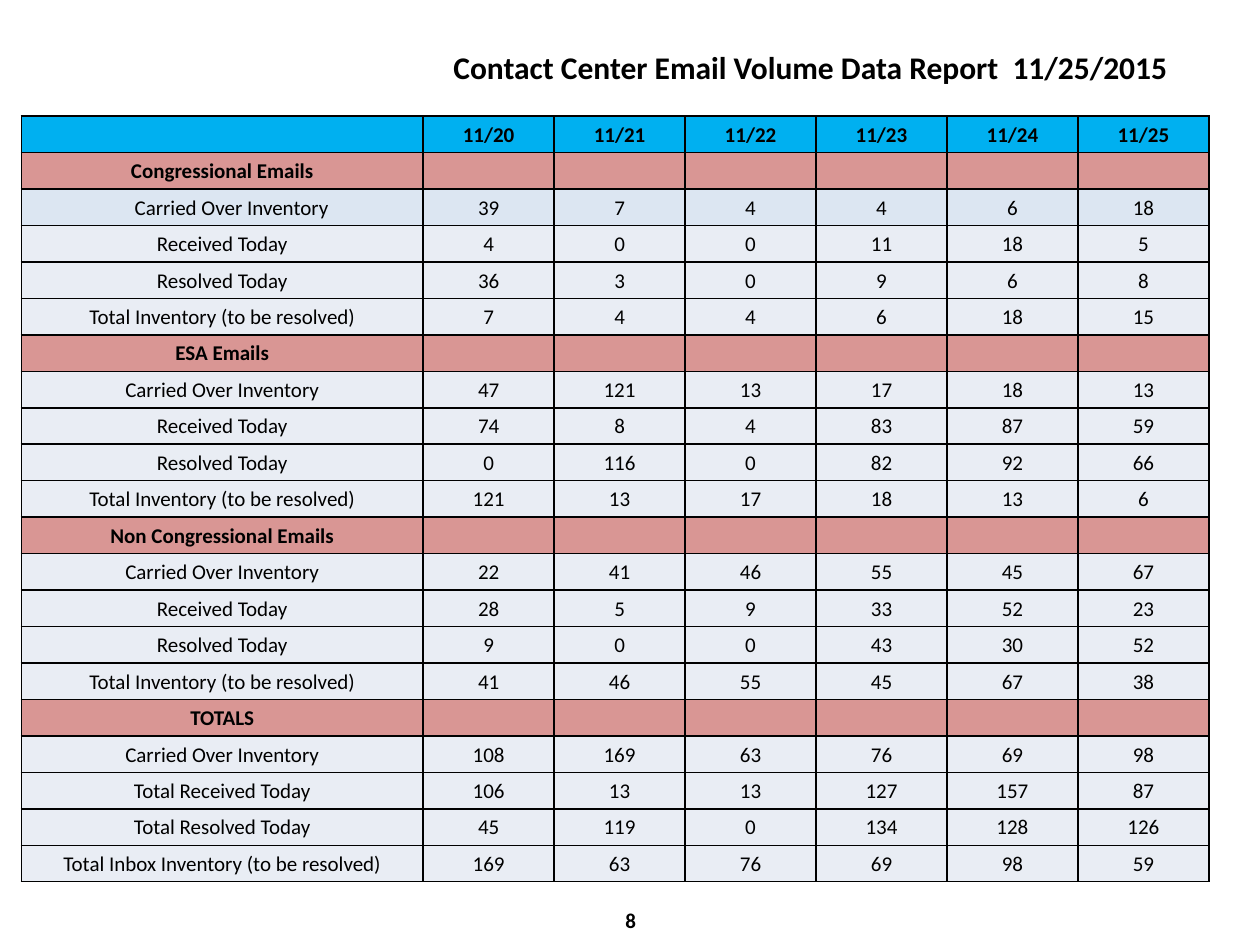
import pptx
import pptx.util
import pptx.dml.color
import pptx.enum.text
import lxml.etree
import pptx.oxml.ns

Cm, Pt = pptx.util.Cm, pptx.util.Pt
ALIGN = pptx.enum.text.PP_ALIGN
MIDDLE = pptx.enum.text.MSO_ANCHOR.MIDDLE

# Content
TITLE = "Contact Center Email Volume Data Report  11/25/2015"
PAGE_NUMBER = "8"
DATES = ["11/20", "11/21", "11/22", "11/23", "11/24", "11/25"]
LABELS = ["Carried Over Inventory", "Received Today", "Resolved Today",
          "Total Inventory (to be resolved)"]
TOTAL_LABELS = ["Carried Over Inventory", "Total Received Today", "Total Resolved Today",
                "Total Inbox Inventory (to be resolved)"]
SECTIONS = [
    ("Congressional Emails", LABELS, [
        (39, 7, 4, 4, 6, 18),
        (4, 0, 0, 11, 18, 5),
        (36, 3, 0, 9, 6, 8),
        (7, 4, 4, 6, 18, 15)]),
    ("ESA Emails", LABELS, [
        (47, 121, 13, 17, 18, 13),
        (74, 8, 4, 83, 87, 59),
        (0, 116, 0, 82, 92, 66),
        (121, 13, 17, 18, 13, 6)]),
    ("Non Congressional Emails", LABELS, [
        (22, 41, 46, 55, 45, 67),
        (28, 5, 9, 33, 52, 23),
        (9, 0, 0, 43, 30, 52),
        (41, 46, 55, 45, 67, 38)]),
    ("TOTALS", TOTAL_LABELS, [
        (108, 169, 63, 76, 69, 98),
        (106, 13, 13, 127, 157, 87),
        (45, 119, 0, 134, 128, 126),
        (169, 63, 76, 69, 98, 59)]),
]
COLORS = {"text": "000000", "border": "000000", "header": "00B0F0",
          "section": "D99694", "first": "DCE6F2", "body": "E9EDF4"}
FONT = "Calibri"


def rgb(name):
    return pptx.dml.color.RGBColor.from_string(COLORS[name])


def write(p, text, size, bold, align):
    p.alignment = align
    p.font.name, p.font.size, p.font.bold = FONT, Pt(size), bold
    p.font.color.rgb = rgb("text")
    if text:
        p.add_run().text = text
    else:  # keeps the height of an empty line
        end = lxml.etree.SubElement(p._p, pptx.oxml.ns.qn("a:endParaRPr"))
        end.set("sz", str(size * 100))


def add_text(slide, box, text, size, align):
    tf = slide.shapes.add_textbox(*map(Cm, box)).text_frame
    tf.word_wrap = True
    write(tf.paragraphs[0], text, size, True, align)
    return tf


def add_borders(cell):
    tcPr = cell._tc.get_or_add_tcPr()
    for i, side in enumerate(("lnL", "lnR", "lnT", "lnB")):
        ln = lxml.etree.Element(pptx.oxml.ns.qn("a:" + side), w=str(Pt(1)))
        fill = lxml.etree.SubElement(ln, pptx.oxml.ns.qn("a:solidFill"))
        lxml.etree.SubElement(fill, pptx.oxml.ns.qn("a:srgbClr"), val=COLORS["border"])
        tcPr.insert(i, ln)


prs = pptx.Presentation()
prs.slide_width, prs.slide_height = Cm(25.4), Cm(19.05)
slide = prs.slides.add_slide(prs.slide_layouts[6])

# Page number and title
tf = add_text(slide, (8.69, 18.03, 8.05, 1.02), PAGE_NUMBER, 12, ALIGN.CENTER)
tf.vertical_anchor = MIDDLE
add_text(slide, (8.89, 0.84, 16.31, 1.02), TITLE, 18, ALIGN.LEFT)

# Table rows: fill, bold, texts
rows = [("header", True, [""] + DATES)]
for name, labels, values in SECTIONS:
    rows.append(("section", True, [name] + [""] * len(DATES)))
    rows += [("body", False, [label, *map(str, nums)]) for label, nums in zip(labels, values)]
FIRST_ROW = 2
rows[FIRST_ROW] = ("first", *rows[FIRST_ROW][1:])

# Table
LABEL_W, DATE_W, TABLE_H = 8.1, 2.64, 15.44
frame = slide.shapes.add_table(len(rows), 1 + len(DATES), Cm(0.43), Cm(2.34),
                               Cm(LABEL_W + DATE_W * len(DATES)), Cm(TABLE_H))
table = frame.table
for i, col in enumerate(table.columns):
    col.width = Cm(DATE_W if i else LABEL_W)
for row, (fill, bold, texts) in zip(table.rows, rows):
    row.height = Cm(TABLE_H / len(rows))
    for cell, text in zip(row.cells, texts):
        cell.margin_left = cell.margin_right = cell.margin_top = Cm(0.03)
        cell.margin_bottom = 0
        cell.vertical_anchor = MIDDLE
        cell.fill.solid()
        cell.fill.fore_color.rgb = rgb(fill)
        add_borders(cell)
        write(cell.text_frame.paragraphs[0], text, 12, bold, ALIGN.CENTER)
table.cell(FIRST_ROW, 0).margin_left = Cm(0.41)

prs.save("out.pptx")
